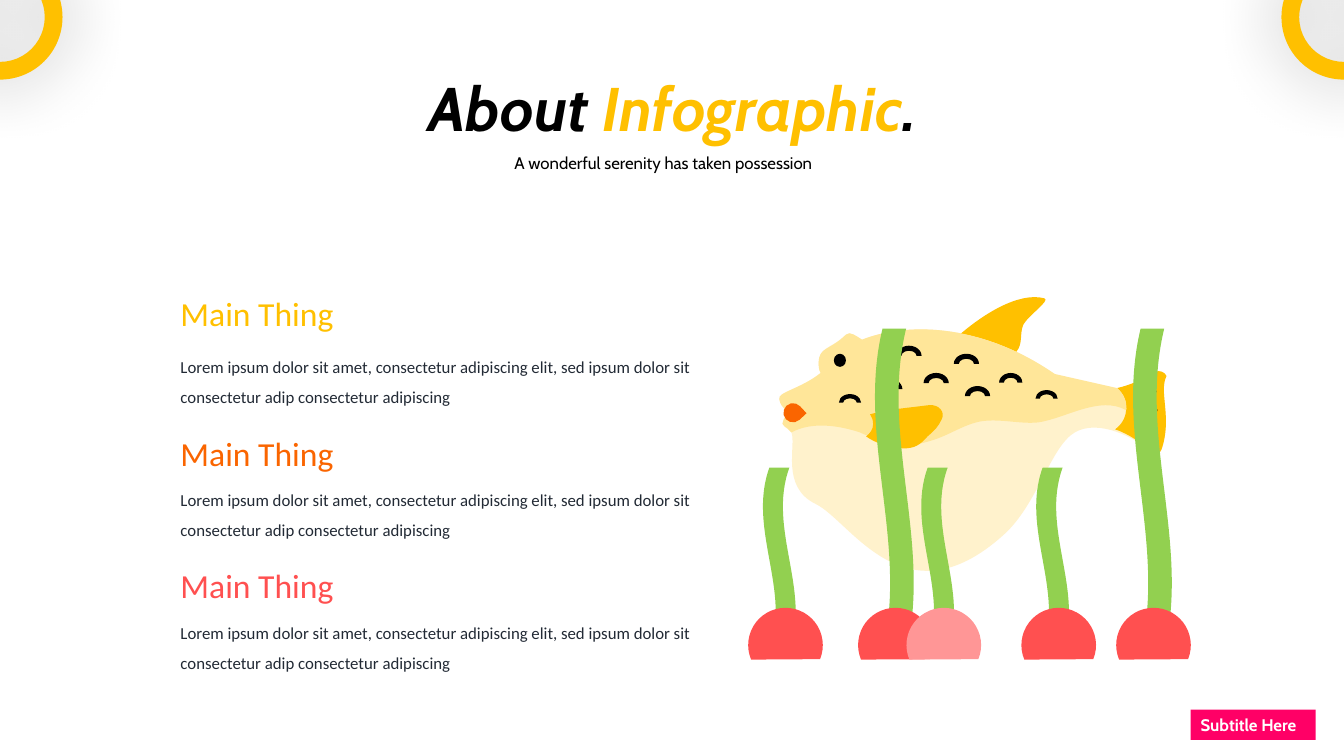
from lxml.etree import SubElement
from pptx import Presentation
from pptx.dml.color import RGBColor
from pptx.enum.shapes import MSO_SHAPE
from pptx.enum.text import MSO_ANCHOR, MSO_AUTO_SIZE, PP_ALIGN
from pptx.oxml.ns import qn
from pptx.util import Inches, Pt

BLACK = RGBColor(0x00, 0x00, 0x00)
WHITE = RGBColor(0xFF, 0xFF, 0xFF)
YELLOW = RGBColor(0xFF, 0xC0, 0x00)
ORANGE = RGBColor(0xFA, 0x65, 0x00)
RED = RGBColor(0xFF, 0x50, 0x50)
LIGHT_RED = RGBColor(0xFF, 0x96, 0x96)
GREEN = RGBColor(0x92, 0xD0, 0x50)
PINK = RGBColor(0xFF, 0x00, 0x66)
CREAM = RGBColor(0xFF, 0xF2, 0xCC)
SAND = RGBColor(0xFF, 0xE6, 0x99)
INK = RGBColor(0x22, 0x2A, 0x35)

LOREM = ("Lorem ipsum dolor sit amet, consectetur adipiscing elit, "
         "sed ipsum dolor sit consectetur adip consectetur adipiscing")
TOPICS = [(YELLOW, 0, 0.53), (ORANGE, 1.38, 0.47), (RED, 2.69, 0.48)]

# Each outline: a start point, then three points for every Bézier curve.
FISH_ORIGIN = (7.73, 2.95)
BELLY = [
    (11.57, 3.73), (11.55, 3.69), (11.5, 3.67), (11.46, 3.69),
    (11.4, 3.73), (11.3, 3.79), (11.13, 3.84), (10.75, 3.95), (10.46, 3.71), (10.46, 3.71),
    (9.69, 3.18), (8.95, 3.21), (8.55, 3.37), (8.5, 3.34), (8.43, 3.28), (8.39, 3.32),
    (8.25, 3.46), (8.12, 3.44), (8.12, 3.6), (8.12, 3.63), (8.12, 3.67), (8.14, 3.7),
    (7.94, 3.86), (7.71, 3.89), (7.73, 3.96), (7.74, 4.06), (7.86, 4.1), (7.86, 4.1),
    (7.81, 4.11), (7.77, 4.14), (7.77, 4.17), (7.76, 4.2), (7.79, 4.15), (7.85, 4.29),
    (7.9, 4.42), (7.74, 4.83), (8.09, 5), (8.44, 5.17), (8.97, 6.19), (9.95, 5.31),
    (10.29, 5.01), (10.42, 4.43), (10.66, 4.29), (10.9, 4.15), (11.27, 4.35), (11.41, 4.48),
    (11.45, 4.52), (11.51, 4.5), (11.52, 4.46), (11.63, 4.14), (11.49, 3.9), (11.57, 3.73)]
TAIL = [
    (11.57, 3.73), (11.55, 3.69), (11.5, 3.67), (11.46, 3.69),
    (11.36, 3.76), (11.18, 3.83), (11.08, 3.85), (11.21, 3.96), (11.2, 4.16), (11.06, 4.26),
    (11.21, 4.31), (11.34, 4.41), (11.41, 4.48), (11.45, 4.52), (11.51, 4.5), (11.52, 4.46),
    (11.63, 4.14), (11.49, 3.89), (11.57, 3.73)]
TOP_FIN = [
    (10.08, 3.49), (10.15, 3.41), (10.11, 3.31), (10.15, 3.22),
    (10.2, 3.13), (10.42, 2.98), (10.36, 2.96), (10.1, 2.89), (9.74, 3.13), (9.53, 3.31),
    (9.7, 3.34), (9.89, 3.4), (10.08, 3.49)]
BACK = [
    (11.08, 3.85), (11.08, 3.85), (10.46, 3.71), (10.46, 3.71),
    (9.69, 3.18), (8.95, 3.21), (8.55, 3.37), (8.5, 3.34), (8.43, 3.28), (8.39, 3.32),
    (8.23, 3.48), (8.12, 3.44), (8.12, 3.6), (8.12, 3.63), (8.12, 3.67), (8.14, 3.7),
    (7.94, 3.86), (7.71, 3.89), (7.73, 3.96), (7.74, 4.06), (7.86, 4.1), (7.86, 4.1),
    (7.81, 4.11), (7.78, 4.14), (7.77, 4.17), (7.75, 4.19), (7.76, 4.22), (7.78, 4.23),
    (7.8, 4.24), (7.82, 4.26), (7.85, 4.29), (8.05, 4.18), (8.32, 4.22), (8.53, 4.29),
    (8.57, 4.31), (8.62, 4.33), (8.68, 4.35), (8.71, 4.32), (8.72, 4.28), (8.72, 4.24),
    (8.72, 4.21), (8.71, 4.19), (8.7, 4.16), (8.85, 4.11), (8.89, 4.12), (9.12, 4.09),
    (9.19, 4.08), (9.24, 4.14), (9.21, 4.2), (9.19, 4.26), (9.16, 4.3), (9.11, 4.35),
    (9.09, 4.38), (9.07, 4.4), (9.05, 4.41), (9.11, 4.41), (9.17, 4.39), (9.24, 4.37),
    (9.41, 4.32), (9.56, 4.21), (9.73, 4.18), (9.92, 4.15), (10.12, 4.21), (10.3, 4.19),
    (10.57, 4.15), (10.91, 3.92), (11.17, 4.07), (11.18, 3.99), (11.15, 3.91), (11.08, 3.85)]
SIDE_FIN = [
    (9.22, 4.02), (9.22, 4.02), (9.21, 4.02), (9.21, 4.02),
    (8.89, 4.06), (8.83, 4.06), (8.63, 4.11), (8.65, 4.14), (8.66, 4.17), (8.66, 4.21),
    (8.66, 4.26), (8.63, 4.3), (8.59, 4.33), (8.69, 4.4), (8.82, 4.44), (8.95, 4.45),
    (9.07, 4.45), (9.12, 4.42), (9.2, 4.33), (9.27, 4.27), (9.31, 4.23), (9.34, 4.16),
    (9.38, 4.09), (9.31, 4.01), (9.22, 4.02)]
TOP_STRIPE = [
    (11.31, 3.96), (11.29, 3.96), (11.27, 3.95), (11.27, 3.93),
    (11.26, 3.91), (11.28, 3.89), (11.3, 3.89), (11.3, 3.89), (11.37, 3.87), (11.42, 3.86),
    (11.44, 3.85), (11.46, 3.86), (11.47, 3.88), (11.47, 3.9), (11.46, 3.92), (11.44, 3.93),
    (11.39, 3.94), (11.32, 3.96), (11.31, 3.96)]
LOW_STRIPE = [
    (11.43, 4.29), (11.43, 4.29), (11.42, 4.29), (11.42, 4.29),
    (11.37, 4.27), (11.3, 4.26), (11.3, 4.26), (11.28, 4.25), (11.26, 4.23), (11.27, 4.21),
    (11.27, 4.19), (11.29, 4.18), (11.31, 4.18), (11.32, 4.18), (11.39, 4.2), (11.44, 4.21),
    (11.46, 4.22), (11.47, 4.24), (11.47, 4.26), (11.46, 4.28), (11.45, 4.29), (11.43, 4.29)]
MIDDLE_STRIPE = [
    (11.44, 4.11), (11.44, 4.11), (11.31, 4.11), (11.31, 4.11),
    (11.29, 4.11), (11.27, 4.09), (11.27, 4.07), (11.27, 4.05), (11.29, 4.03), (11.31, 4.03),
    (11.31, 4.03), (11.44, 4.03), (11.44, 4.03), (11.46, 4.03), (11.48, 4.05), (11.48, 4.07),
    (11.48, 4.09), (11.46, 4.11), (11.44, 4.11)]
BODY = [(BELLY, CREAM), (TAIL, YELLOW), (TOP_FIN, YELLOW), (BACK, SAND), (SIDE_FIN, YELLOW)]
SCALES = [(8.7, 3.76, 0.25, 0.2), (9.16, 3.7, 0.25, 0.2), (9.57, 3.83, 0.25, 0.2),
          (9.91, 3.7, 0.23, 0.19), (10.27, 3.87, 0.22, 0.17), (8.32, 3.91, 0.22, 0.17),
          (9.46, 3.51, 0.25, 0.2), (8.89, 3.43, 0.25, 0.2)]

# Stem centre from the left of the seabed, stem length, rock colour
WEEDS = [(0.31, 1.82, RED), (1.45, 3.2, RED), (1.88, 1.82, LIGHT_RED),
         (3.02, 1.82, RED), (4.01, 3.2, RED)]


def paint(shape, color):
    shape.shadow.inherit = False
    shape.fill.solid()
    shape.fill.fore_color.rgb = color
    shape.line.fill.background()


def add_preset(shapes, kind, box, color, rotation=0, adjustments=()):
    shape = shapes.add_shape(kind, *map(Inches, box))
    paint(shape, color)
    shape.rotation = rotation
    for index, value in enumerate(adjustments):
        shape.adjustments[index] = value
    return shape


def add_text(shape, runs, size, name, spacing=None, align=PP_ALIGN.LEFT, inset=True, wrap=True, **style):
    """Fill a shape with one paragraph of (text, color) runs."""
    frame = shape.text_frame
    layout = {"word_wrap": wrap, "auto_size": MSO_AUTO_SIZE.SHAPE_TO_FIT_TEXT,
              "vertical_anchor": MSO_ANCHOR.TOP}
    if not inset:
        layout.update(dict.fromkeys(["margin_left", "margin_top", "margin_right", "margin_bottom"], 0))
    for attribute, value in layout.items():
        setattr(frame, attribute, value)
    paragraph = frame.paragraphs[0]
    paragraph.alignment = align
    paragraph.line_spacing = spacing
    for text, color in runs:
        run = paragraph.add_run()
        run.text = text
        run.font.color.rgb = color
        for attribute, value in {"size": Pt(size), "name": name, **style}.items():
            setattr(run.font, attribute, value)


def add_text_box(slide, box, *content, **style):
    add_text(slide.shapes.add_textbox(*map(Inches, box)), *content, **style)


def curve_bounds(outline):
    """Return the top left and bottom right corners of the drawn curves."""
    points = []
    for index in range(0, len(outline) - 1, 3):
        for t in (step / 20 for step in range(21)):
            weights = ((1 - t) ** 3, 3 * t * (1 - t) ** 2, 3 * t * t * (1 - t), t ** 3)
            points.append([sum(w * point[axis] for w, point in zip(weights, outline[index:index + 4]))
                           for axis in (0, 1)])
    return [[pick(values) for values in zip(*points)] for pick in (min, max)]


def add_curved_shape(shapes, outline, color, dx, dy):
    (left, top), (right, bottom) = curve_bounds(outline)
    builder = shapes.build_freeform(Inches(left + dx), Inches(top + dy))
    builder.add_line_segments([(Inches(right + dx), Inches(bottom + dy))])
    shape = builder.convert_to_shape()
    paint(shape, color)
    path = next(shape._element.iter(qn("a:path")))
    for segment in list(path):
        path.remove(segment)
    curves = [outline[index:index + 3] for index in range(1, len(outline), 3)]
    for tag, points in [("a:moveTo", outline[:1])] + [("a:cubicBezTo", curve) for curve in curves]:
        segment = SubElement(path, qn(tag))
        for x, y in points:
            SubElement(segment, qn("a:pt"), x=str(Inches(x - left)), y=str(Inches(y - top)))
    SubElement(path, qn("a:close"))


def add_fish(slide, left, top):
    shapes = slide.shapes.add_group_shape().shapes
    dx, dy = left - FISH_ORIGIN[0], top - FISH_ORIGIN[1]
    details = [(MSO_SHAPE.BLOCK_ARC, box, BLACK, 0) for box in SCALES]
    details.append((MSO_SHAPE.TEAR, (7.77, 4, 0.19, 0.19), ORANGE, 47))
    for outline, color in BODY:
        add_curved_shape(shapes, outline, color, dx, dy)
    add_preset(shapes, MSO_SHAPE.OVAL, (8.27 + dx, 3.51 + dy, 0.12, 0.13), BLACK)
    for outline in (TOP_STRIPE, LOW_STRIPE, MIDDLE_STRIPE):
        add_curved_shape(shapes, outline, BLACK, dx, dy)
    for kind, (x, y, width, height), color, rotation in details:
        add_preset(shapes, kind, (x + dx, y + dy, width, height), color, rotation)


def add_seabed(slide, left, rock_top):
    rock, stem_bottom = 0.74, rock_top + 0.43
    for x, length, _ in WEEDS:
        thickness = 0.39 if length > 2 else 0.33
        box = (left + x - length / 2, stem_bottom - length / 2 - thickness / 2, length, thickness)
        stem = add_preset(slide.shapes, MSO_SHAPE.WAVE, box, GREEN, 90, [0.2, 0])
        stem._element.spPr.find(qn("a:xfrm")).set("flipV", "1")
    for x, length, color in WEEDS:
        shift = 0.01 if length > 2 else 0.06
        box = (left + x + shift - rock / 2, rock_top, rock, rock)
        add_preset(slide.shapes, MSO_SHAPE.CHORD, box, color, 112.1)


def add_topics(slide, left, top):
    for color, offset, gap in TOPICS:
        y = top + offset
        add_text_box(slide, (left, y, 1.83, 0.4), [("Main Thing", color)], 24, "Calibri", inset=False)
        add_text_box(slide, (left, y + gap, 5.18, 0.57), [(LOREM, INK)], 12, "Calibri", inset=False, spacing=1.5)


def add_header(slide, left, top):
    add_text_box(slide, (left, top, 8.6, 0.84), [("About ", BLACK), ("Infographic", YELLOW), (".", BLACK)],
                 44, "Cabin", align=PP_ALIGN.CENTER, bold=True, italic=True)
    add_text_box(slide, (left + 2, top + 0.73, 4.42, 0.37), [("A wonderful serenity has taken possession", BLACK)],
                 12, "Cabin", spacing=1.5, align=PP_ALIGN.CENTER)


def add_label(slide, box):
    label = add_preset(slide.shapes, MSO_SHAPE.RECTANGLE, box, PINK)
    add_text(label, [("Subtitle Here", WHITE)], 12, "Cabin", wrap=False, bold=True)


def add_corner_ring(slide, left, top):
    ring = add_preset(slide.shapes, MSO_SHAPE.DONUT, (left, top, 1.24, 1.24), YELLOW, 0, [0.142])
    shadow = SubElement(ring._element.spPr.find(qn("a:effectLst")), qn("a:outerShdw"),
                        blurRad=str(Pt(49)), dist="0", dir="0", algn="ctr", rotWithShape="0")
    color = SubElement(shadow, qn("a:srgbClr"), val=str(BLACK))
    SubElement(color, qn("a:alpha"), val="33000")


presentation = Presentation()
presentation.slide_width, presentation.slide_height = Inches(13.33), Inches(7.5)
slide = presentation.slides.add_slide(presentation.slide_layouts[6])
add_fish(slide, 7.73, 2.95)
add_seabed(slide, 7.42, 6.03)
add_topics(slide, 1.79, 2.91)
add_header(slide, 2.37, 0.64)
add_label(slide, (11.81, 7.04, 1.24, 0.3))
for ring_left in (-0.62, 12.71):
    add_corner_ring(slide, ring_left, -0.45)
presentation.save("out.pptx")
